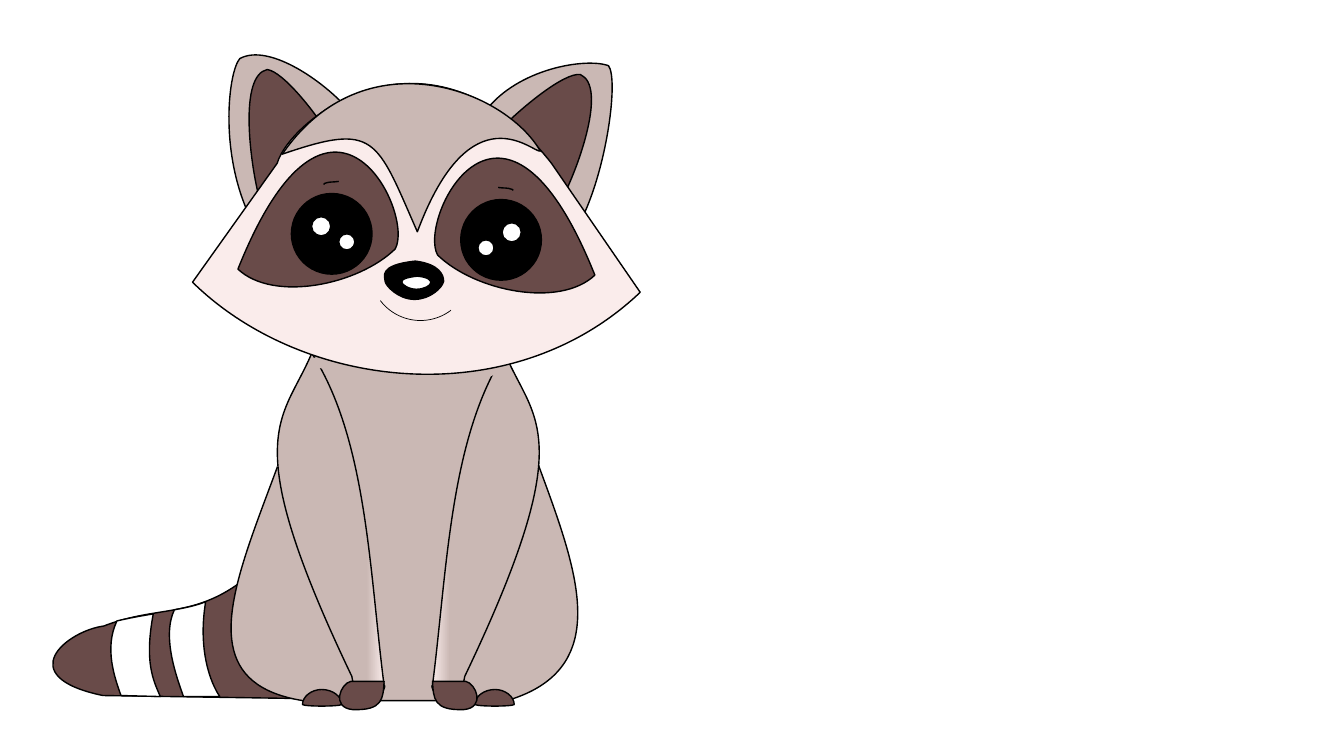
from dataclasses import dataclass
from math import cos, radians, sin
from typing import Any

from lxml.etree import SubElement
from pptx import Presentation
from pptx.dml.color import RGBColor
from pptx.enum.shapes import MSO_SHAPE as Preset
from pptx.oxml.ns import qn
from pptx.util import Inches, Pt

FUR, MASK, CREAM = "CAB8B4", "694B49", "FAECEB"
BLACK, WHITE = "000000", "FFFFFF"
CURVE_STEPS = 32


def color(code):
    """Turn a hex string into a colour."""
    return RGBColor.from_string(code)


def paint(shape, fill, line_width):
    """Set the fill and black line of a shape, either of which may be None."""
    shape.shadow.inherit = False
    if fill:
        shape.fill.solid()
        shape.fill.fore_color.rgb = color(fill)
    else:
        shape.fill.background()
    if line_width:
        shape.line.color.rgb = color(BLACK)
        shape.line.width = Pt(line_width)
    else:
        shape.line.fill.background()
    return shape


def shade(shape, angle):
    """Fade the edge of a shape from cream into fur."""
    shape.fill.gradient()
    shape.fill.gradient_angle = angle
    for stop, code, position in zip(shape.fill.gradient_stops, (CREAM, FUR), (0, 0.17)):
        stop.color.rgb = color(code)
        stop.position = position


def points_of(segment):
    """Split a flat run of numbers into points."""
    return list(zip(segment[::2], segment[1::2]))


def turn(segment, angle, center):
    """Rotate the points of a segment clockwise about a center."""
    cosine, sine = cos(radians(angle)), sin(radians(angle))
    turned = []
    for x, y in points_of(segment):
        dx, dy = x - center[0], y - center[1]
        turned += [center[0] + dx * cosine - dy * sine, center[1] + dx * sine + dy * cosine]
    return turned


def mirror(outline, axis, drop):
    """Reflect an outline about a vertical axis and lower it."""
    return [[number for x, y in points_of(segment) for number in (2 * axis - x, y + drop)]
            for segment in outline]


def sample(outline):
    """List points along an outline of lines and cubic curves."""
    track = []
    for segment in outline:
        ends = points_of(segment)
        if len(ends) == 1:
            track += ends
            continue
        controls = [track[-1]] + ends
        for step in range(1, CURVE_STEPS + 1):
            t = step / CURVE_STEPS
            weights = ((1 - t) ** 3, 3 * t * (1 - t) ** 2, 3 * t * t * (1 - t), t ** 3)
            track.append(tuple(sum(w * point[i] for w, point in zip(weights, controls))
                               for i in (0, 1)))
    return track


@dataclass
class Pen:
    """Draws in inches from the top left corner of a box."""

    shapes: Any
    left: float
    top: float

    def place(self, point):
        """Convert a point in the box to slide units."""
        return Inches(self.left + point[0]), Inches(self.top + point[1])

    def preset(self, kind, left, top, size, fill, line_width=1):
        """Draw a preset shape with equal sides."""
        shape = self.shapes.add_shape(kind, *self.place((left, top)), Inches(size), Inches(size))
        return paint(shape, fill, line_width)

    def outline(self, outline, fill, line_width=1, closed=True, angle=0, center=(0, 0)):
        """Draw an outline whose segments hold one point or three curve points."""
        outline = [turn(segment, -angle, center) for segment in outline]
        track = [self.place(point) for point in sample(outline)]
        builder = self.shapes.build_freeform(*track[0])
        builder.add_line_segments(track[1:], close=closed)
        shape = builder.convert_to_shape()
        route = shape.element.xpath(".//a:path")[0]
        for child in list(route):
            route.remove(child)
        for index, segment in enumerate(outline):
            name = "a:moveTo" if index == 0 else "a:lnTo" if len(segment) == 2 else "a:cubicBezTo"
            step = SubElement(route, qn(name))
            for point in points_of(segment):
                x, y = self.place(point)
                SubElement(step, qn("a:pt"), x=str(x - shape.left), y=str(y - shape.top))
        if closed:
            SubElement(route, qn("a:close"))
        shape.rotation = angle
        return paint(shape, fill, line_width)

    def pair(self, outline, axis, drop, fill, line_width=1, closed=True):
        """Draw an outline and its mirror image."""
        return [self.outline(side, fill, line_width, closed)
                for side in (outline, mirror(outline, axis, drop))]


def draw_ears(pen):
    """Draw the outer ears."""
    pen.outline([(2.38, 0.58), (2.67, 0.42, 3.25, 0.82, 3.52, 1.16), (2.47, 2.13),
                 (2.17, 1.48, 2.27, 0.7, 2.38, 0.58)], FUR, angle=336, center=(2.79, 1.19))
    pen.outline([(6.04, 0.65), (5.81, 0.57, 5.14, 0.68, 4.82, 1.1), (5.78, 2.16),
                 (6.03, 1.64, 6.14, 0.78, 6.04, 0.65)], FUR, angle=29.1, center=(5.54, 1.21))


def draw_tail(pen):
    """Draw the striped tail."""
    pen.outline([(2.84, 5.34), (2.08, 6.23, 1.7, 5.95, 1.03, 6.21),
                 (0.66, 6.26, 0.11, 6.71, 1.02, 6.9), (2.97, 6.93)], MASK)
    pen.outline([(2.04, 5.97), (1.94, 6.01, 1.84, 6.03, 1.73, 6.05),
                 (1.6, 6.32, 1.76, 6.74, 1.82, 6.91), (2.18, 6.91),
                 (2.09, 6.78, 1.96, 6.45, 2.04, 5.97)], WHITE)
    pen.outline([(1.52, 6.09), (1.4, 6.11, 1.29, 6.13, 1.16, 6.16),
                 (1.03, 6.43, 1.14, 6.73, 1.2, 6.9), (1.59, 6.91),
                 (1.52, 6.75, 1.43, 6.57, 1.52, 6.09)], WHITE)


def draw_body(pen):
    """Draw the trunk, arms, feet and hands."""
    axis = 4.05
    pen.outline([(5.06, 2.63), (3.17, 2.56), (3.36, 4.4, 1.23, 6.66, 3, 6.95), (5.03, 6.95),
                 (6.85, 6.41, 4.48, 3.95, 5.06, 2.63)], FUR)
    arm = [(3.05, 3.44), (3.11, 3.46), (2.83, 4.18, 2.31, 4.24, 3.49, 6.71),
           (3.59, 7.29, 3.86, 6.79, 3.81, 6.8), (3.66, 5.63, 3.64, 4.29, 3.05, 3.44)]
    for shape, angle in zip(pen.pair(arm, axis, 0, FUR), (180, 0)):
        shade(shape, angle)
    shoulder = [(3.37, 3.6), (3.37, 3.58, 3.35, 3.54, 3.23, 3.53),
                (3.04, 3.55, 3.08, 3.59, 3.08, 3.6), (3.08, 3.61, 3.15, 3.66, 3.23, 3.66),
                (3.3, 3.66, 3.37, 3.62, 3.37, 3.6)]
    pen.pair(shoulder, 4.02, 0.08, FUR, None)
    foot = [(3.39, 6.99), (3.39, 6.91, 3.3, 6.84, 3.19, 6.84),
            (3.09, 6.84, 3, 6.91, 3, 6.99), (3.03, 7.01, 3.35, 7.01, 3.39, 6.99)]
    pen.pair(foot, axis, 0, MASK)
    hand = [(3.81, 6.76), (3.48, 6.76), (3.38, 6.78, 3.28, 7.02, 3.5, 7.04),
            (3.8, 7.05, 3.8, 6.93, 3.81, 6.76)]
    pen.pair(hand, axis, 0, MASK)


def draw_head(pen):
    """Draw the inner ears, face, nose and mouth."""
    pen.outline([(2.65, 0.69), (2.81, 0.71, 3.14, 1.13, 3.29, 1.38), (2.56, 1.92),
                 (2.48, 1.59, 2.37, 0.75, 2.65, 0.69)], MASK, angle=353.7, center=(2.87, 1.28))
    pen.outline([(5.76, 0.74), (5.6, 0.72, 5.19, 1.06, 4.99, 1.26), (5.59, 1.95),
                 (5.74, 1.66, 6.03, 0.86, 5.76, 0.74)], MASK, angle=19.1, center=(5.42, 1.27))
    pen.outline([(5.47, 1.62), (4.27, 0.09, 2.88, 1.17, 2.75, 1.62), (1.91, 2.8),
                 (3.01, 3.88, 5.08, 4.11, 6.35, 2.9)], CREAM)
    pen.outline([(5.36, 1.5), (5.01, 0.89, 3.61, 0.35, 2.8, 1.53),
                 (3.73, 1.21, 3.73, 1.37, 4.14, 2.3), (4.67, 0.88, 5.29, 1.52, 5.36, 1.5)], FUR)
    pen.outline([(4.4, 2.79), (4.4, 2.73, 4.36, 2.62, 4.12, 2.59),
                 (3.74, 2.63, 3.82, 2.75, 3.82, 2.79), (3.82, 2.83, 3.95, 2.97, 4.11, 2.97),
                 (4.27, 2.97, 4.39, 2.85, 4.4, 2.79)], BLACK)
    pen.outline([(4.27, 2.81), (4.28, 2.79, 4.26, 2.75, 4.14, 2.74),
                 (3.95, 2.76, 3.99, 2.8, 3.99, 2.81), (3.99, 2.82, 4.05, 2.87, 4.13, 2.87),
                 (4.21, 2.87, 4.27, 2.83, 4.27, 2.81)], WHITE)
    pen.preset(Preset.ARC, 3.67, 2.18, 1, None, 0.5).rotation = 142.8


def draw_eyes(pen):
    """Draw the eye patches, eyes, glints and brows."""
    axis, drop = 4.13, 0.06
    patch = [(3.92, 2.47), (4.12, 2.11, 3.27, 0.39, 2.36, 2.67),
             (2.71, 3, 3.55, 2.83, 3.92, 2.47)]
    pen.pair(patch, axis, drop, MASK)
    for left, top, size, fill in ((2.89, 1.92, 0.8, BLACK), (3.36, 2.32, 0.16, WHITE),
                                  (3.09, 2.15, 0.19, WHITE)):
        pen.preset(Preset.OVAL, left, top, size, fill)
        pen.preset(Preset.OVAL, 2 * axis - left - size, top + drop, size, fill)
    brow = [(3.36, 1.8), (3.3, 1.81, 3.27, 1.8, 3.22, 1.82), (3.22, 1.82, 3.21, 1.83, 3.21, 1.83)]
    pen.pair(brow, 4.15, drop, None, closed=False)


def main():
    """Build the slide with the raccoon."""
    deck = Presentation()
    deck.slide_width, deck.slide_height = Inches(13.33), Inches(7.5)
    page = deck.slides.add_slide(deck.slide_layouts[6])
    pen = Pen(page.shapes.add_group_shape().shapes, 0, 0)
    for draw in (draw_ears, draw_tail, draw_body, draw_head, draw_eyes):
        draw(pen)
    deck.save("out.pptx")


if __name__ == "__main__":
    main()
